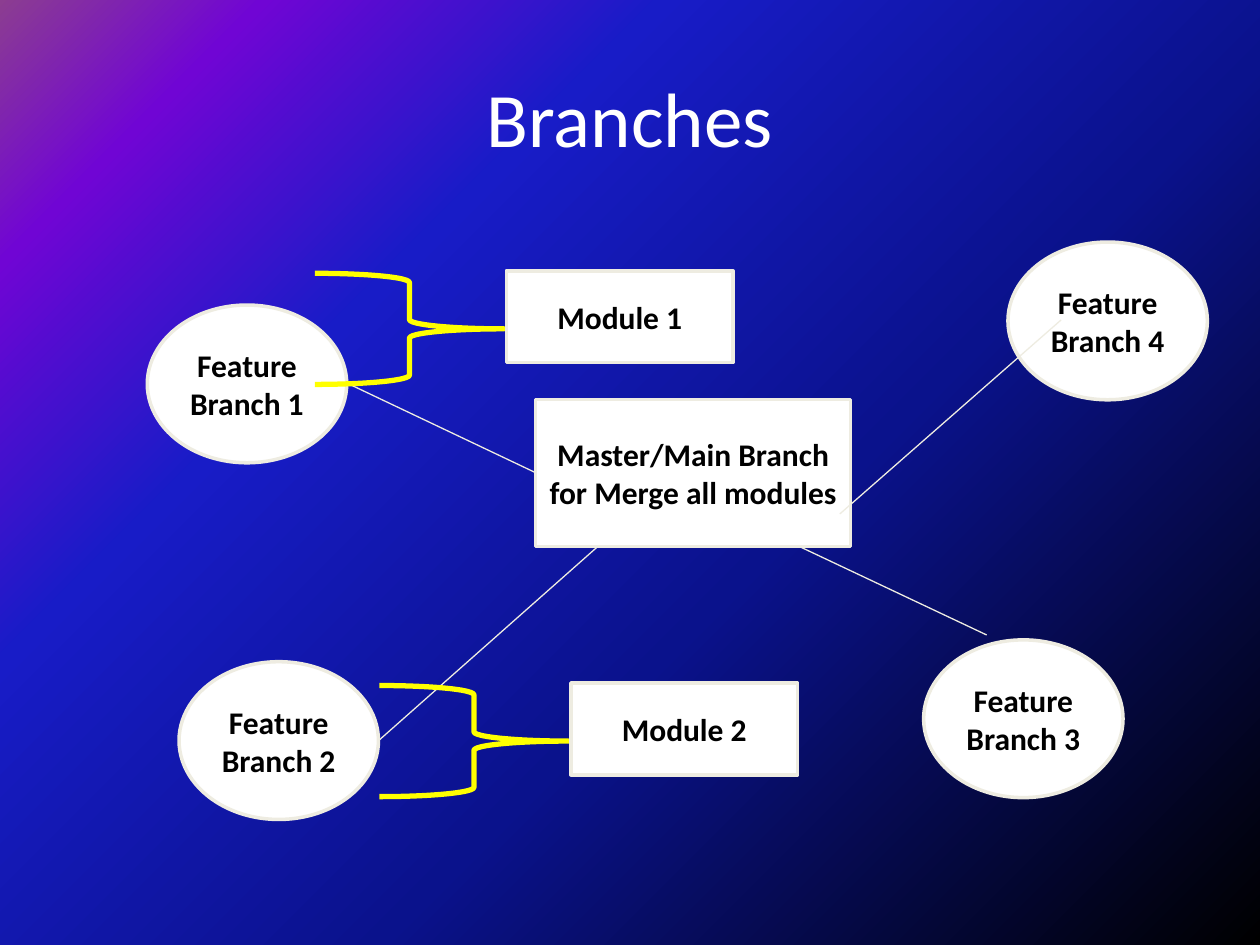
import pptx
import pptx.util
import pptx.oxml
import pptx.oxml.ns
import pptx.dml.color
import pptx.enum.shapes
import pptx.enum.text

Cm, Pt = pptx.util.Cm, pptx.util.Pt
SHAPE = pptx.enum.shapes.MSO_SHAPE
CREAM = "EEECE1"
STOPS = [(0, "000000"), (40, "0A128C"), (70, "181CC7"), (88, "7005D4"), (100, "8C3D91")]


def rgb(value):
    return pptx.dml.color.RGBColor.from_string(value)


def set_background(s):
    stops = "".join(
        f'<a:gs pos="{pos * 1000}"><a:srgbClr val="{color}"/></a:gs>' for pos, color in STOPS)
    bg = pptx.oxml.parse_xml(
        f'<p:bg {pptx.oxml.ns.nsdecls("p", "a")}><p:bgPr><a:gradFill rotWithShape="1">'
        f'<a:gsLst>{stops}</a:gsLst><a:path path="circle">'
        '<a:fillToRect l="100000" t="100000"/></a:path></a:gradFill>'
        '<a:effectLst/></p:bgPr></p:bg>')
    s.element.cSld.insert(0, bg)


def write(sp, text, size, color, bold=False):
    tf = sp.text_frame
    tf.word_wrap = True
    tf.vertical_anchor = pptx.enum.text.MSO_ANCHOR.MIDDLE
    p = tf.paragraphs[0]
    p.alignment = pptx.enum.text.PP_ALIGN.CENTER
    r = p.add_run()
    r.text = text
    r.font.name = "Calibri"
    r.font.size = Pt(size)
    r.font.bold = bold
    r.font.color.rgb = rgb(color)


def add_node(s, kind, text, x, y, w, h):
    sp = s.shapes.add_shape(kind, Cm(x), Cm(y), Cm(w), Cm(h))
    sp.shadow.inherit = False
    sp.fill.solid()
    sp.fill.fore_color.rgb = rgb("FFFFFF")
    sp.line.color.rgb = rgb(CREAM)
    sp.line.width = Pt(2)
    write(sp, text, 18, "000000", bold=True)


def add_link(s, x1, y1, x2, y2):
    line = s.shapes.add_connector(
        pptx.enum.shapes.MSO_CONNECTOR.STRAIGHT, Cm(x1), Cm(y1), Cm(x2), Cm(y2))
    line.line.color.rgb = rgb(CREAM)
    line.line.width = Pt(0.75)
    line.element.spPr.append(
        pptx.oxml.parse_xml(f'<a:effectLst {pptx.oxml.ns.nsdecls("a")}/>'))


def add_title(s, x, y, w, h):
    write(s.shapes.add_textbox(Cm(x), Cm(y), Cm(w), Cm(h)), "Branches", 44, "FFFFFF")


def add_branch_map(s, x, y):
    # Main branch in the middle
    add_node(s, SHAPE.RECTANGLE, "Master/Main Branch for Merge all modules",
             x + 7.83, y + 3.17, 6.35, 2.97)
    # Feature branches around it
    spots = [(0, 1.27), (0.64, 8.46), (15.65, 8.02), (17.35, 0)]
    for number, (dx, dy) in enumerate(spots, 1):
        add_node(s, SHAPE.OVAL, f"Feature Branch {number}", x + dx, y + dy, 4.02, 3.18)
    # Links between the main branch and the features
    links = [(4.02, 2.84, 7.83, 4.65), (13.11, 6.12, 16.92, 7.92),
             (4.65, 10.06, 9.1, 6.12), (13.96, 5.48, 18.42, 1.57)]
    for x1, y1, x2, y2 in links:
        add_link(s, x + x1, y + y1, x + x2, y + y2)


def add_module(s, text, x, y):
    # Brace pointing at the module box
    brace = s.shapes.add_shape(SHAPE.RIGHT_BRACE, Cm(x), Cm(y + 0.05), Cm(3.81), Cm(2.24))
    brace.shadow.inherit = False
    brace.fill.background()
    brace.line.color.rgb = rgb("FFFF00")
    brace.line.width = Pt(3)
    add_node(s, SHAPE.RECTANGLE, text, x + 3.86, y, 4.57, 1.85)


def main():
    prs = pptx.Presentation()
    prs.slide_width, prs.slide_height = Cm(25.4), Cm(19.05)
    s = prs.slides.add_slide(prs.slide_layouts[6])
    set_background(s)
    add_title(s, 1.27, 0.76, 22.86, 3.18)
    add_branch_map(s, 2.97, 4.88)
    add_module(s, "Module 1", 6.35, 5.46)
    add_module(s, "Module 2", 7.65, 13.77)
    prs.save("out.pptx")


if __name__ == "__main__":
    main()
